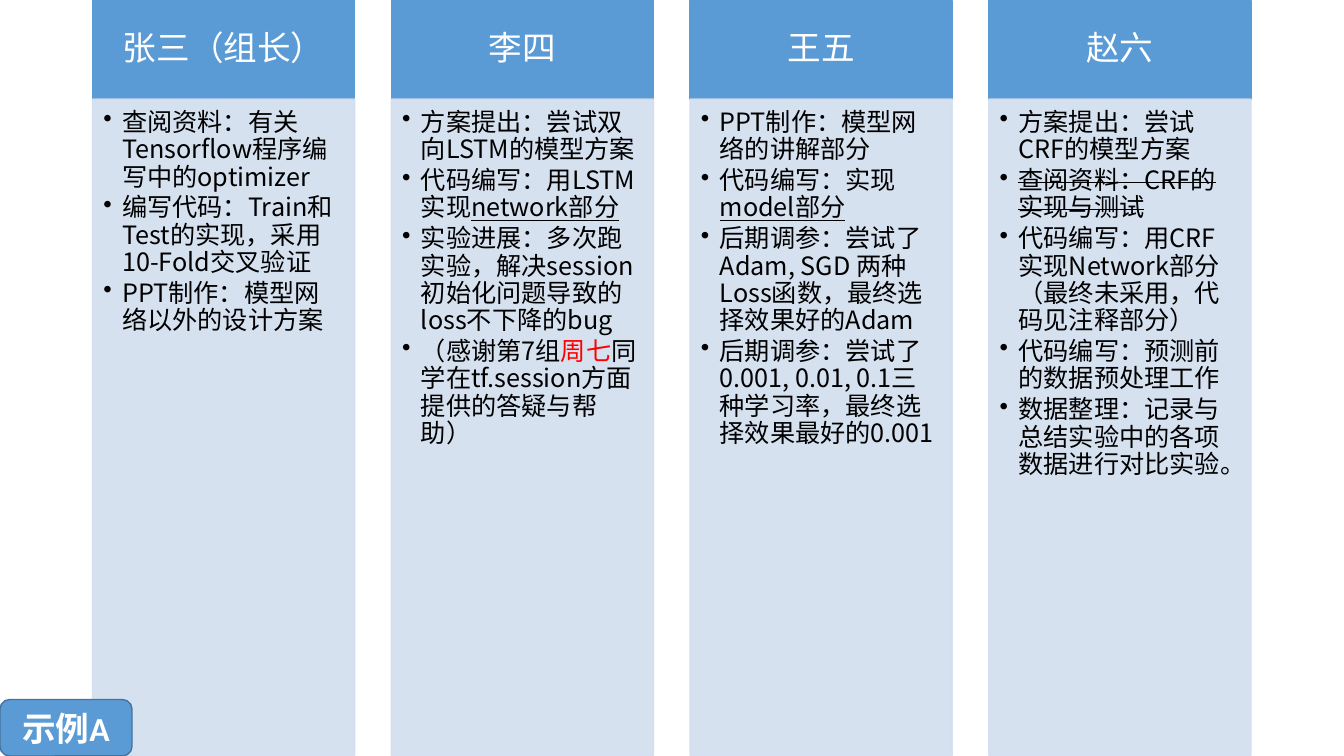
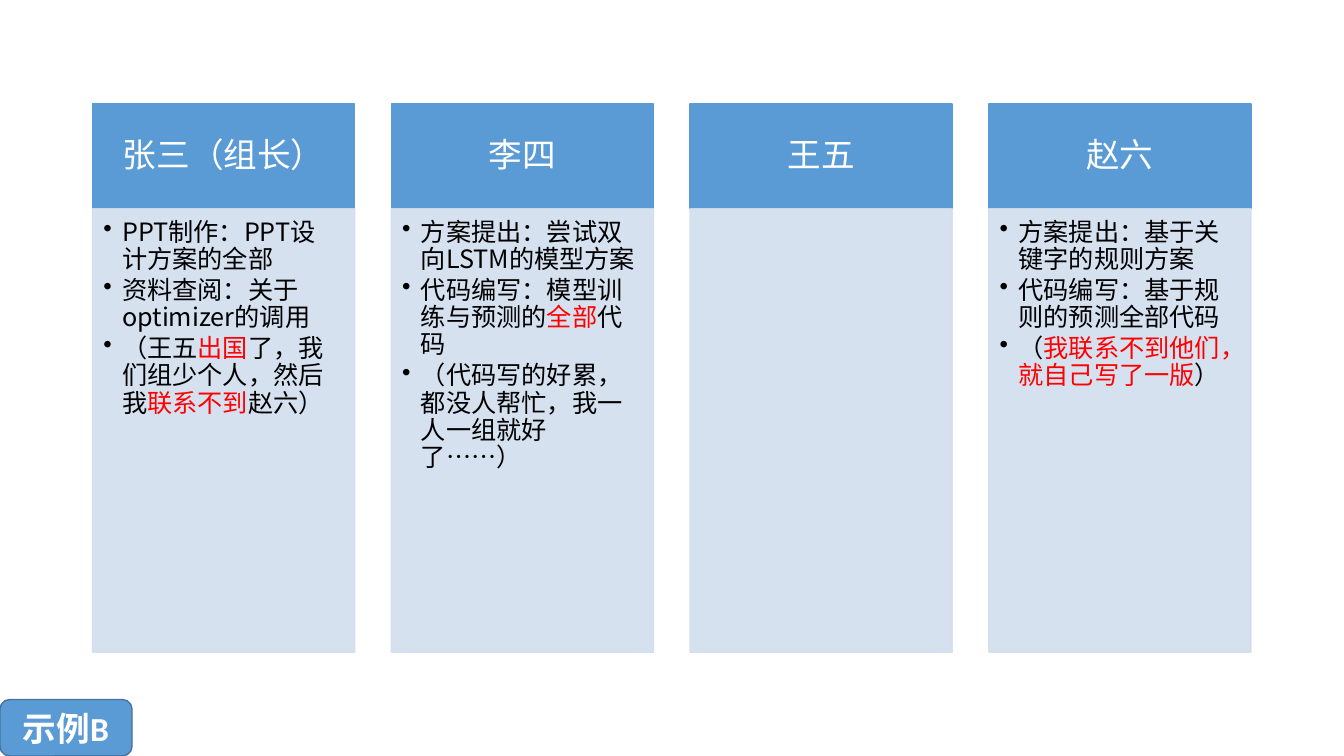
"""Build two slides that list each group member's share of the work."""
import pptx
import pptx.dml.color
import pptx.enum.shapes
import pptx.enum.text
import pptx.oxml.ns
import pptx.util
import lxml.etree

Pt = pptx.util.Pt
qn = pptx.oxml.ns.qn
SHAPES = pptx.enum.shapes.MSO_SHAPE
ALIGN = pptx.enum.text.PP_ALIGN
ANCHOR = pptx.enum.text.MSO_ANCHOR

BLUE, PALE, EDGE = "5B9BD5", "D2DEEF", "43739E"
WHITE, BLACK, RED = "FFFFFF", "000000", "FF0000"
CJK_FONT, LATIN_FONT = "Noto Sans CJK SC", "Calibri"
COLUMN_LEFT, COLUMN_PITCH, COLUMN_WIDTH = 66.2, 213.4, 187.2
HEADER_MARGINS = (13.4, 7.7, 13.4, 7.7)
BODY_MARGINS = (7.6, 7.6, 10.1, 11.4)
BADGE_MARGINS = (7.2, 3.6, 7.2, 3.6)
BULLET_INDENT = 13.5

MEMBERS = ["张三（组长）", "李四", "王五", "赵六"]
SLIDES = [
    {
        "badge": "示例A", "top": 0.5, "header": 70.3, "body": 468.7,
        "tasks": [
            [
                [("查阅资料：有关Tensorflow程序编写中的optimizer", "")],
                [("编写代码：Train和Test的实现，采用10-Fold交叉验证", "")],
                [("PPT制作：模型网络以外的设计方案", "")],
            ],
            [
                [("方案提出：尝试双向LSTM的模型方案", "")],
                [("代码编写：用LSTM 实现", ""), ("network部分", "underline")],
                [("实验进展：多次跑实验，解决session初始化问题导致的loss不下降的bug", "")],
                [("（感谢第7组", ""), ("周七", "red"),
                 ("同学在tf.session方面提供的答疑与帮助）", "")],
            ],
            [
                [("PPT制作：模型网络的讲解部分", "")],
                [("代码编写：实现", ""), ("model部分", "underline")],
                [("后期调参：尝试了Adam, SGD 两种Loss函数，最终选择效果好的Adam", "")],
                [("后期调参：尝试了0.001, 0.01, 0.1三种学习率，最终选择效果最好的0.001", "")],
            ],
            [
                [("方案提出：尝试CRF的模型方案", "")],
                [("查阅资料：CRF的实现与测试", "strike")],
                [("代码编写：用CRF实现Network部分（最终未采用，代码见注释部分）", "")],
                [("代码编写：预测前的数据预处理工作", "")],
                [("数据整理：记录与总结实验中的各项数据进行对比实验。", "")],
            ],
        ],
    },
    {
        "badge": "示例B", "top": 74.2, "header": 74.9, "body": 316.8,
        "tasks": [
            [
                [("PPT制作：PPT设计方案的全部", "")],
                [("资料查阅：关于optimizer的调用", "")],
                [("（王五", ""), ("出国", "red"), ("了，我们组少个人，然后我", ""),
                 ("联系不到", "red"), ("赵六）", "")],
            ],
            [
                [("方案提出：尝试双向LSTM的模型方案", "")],
                [("代码编写：模型训练与预测的", ""), ("全部", "red"), ("代码", "")],
                [("（代码写的好累，都没人帮忙，我一人一组就好了……）", "")],
            ],
            [],
            [
                [("方案提出：基于关键字的规则方案", "")],
                [("代码编写：基于规则的预测全部代码", "")],
                [("（", ""), ("我联系不到他们，就自己写了一版", "red"), ("）", "")],
            ],
        ],
    },
]


def add_box(slide, kind, bounds, fill, line, margins, anchor):
    """Add a filled shape whose text frame is ready for use."""
    shape = slide.shapes.add_shape(kind, *[Pt(value) for value in bounds])
    shape.shadow.inherit = False
    shape.fill.solid()
    shape.fill.fore_color.rgb = pptx.dml.color.RGBColor.from_string(fill)
    shape.line.color.rgb = pptx.dml.color.RGBColor.from_string(line)
    shape.line.width = Pt(1)
    frame = shape.text_frame
    frame.word_wrap = True
    frame.vertical_anchor = anchor
    frame.margin_left, frame.margin_top, frame.margin_right, frame.margin_bottom = [
        Pt(value) for value in margins]
    return shape


def add_run(paragraph, text, size, color, latin=CJK_FONT):
    """Add a run of text and return it."""
    run = paragraph.add_run()
    run.text = text
    run.font.size = Pt(size)
    run.font.color.rgb = pptx.dml.color.RGBColor.from_string(color)
    run.font.name = latin
    properties = run._r.get_or_add_rPr()
    properties.set("lang", "zh-CN")
    lxml.etree.SubElement(properties, qn("a:ea")).set("typeface", CJK_FONT)
    return run


presentation = pptx.Presentation()
presentation.slide_width, presentation.slide_height = Pt(960), Pt(540)

for content in SLIDES:
    slide = presentation.slides.add_slide(presentation.slide_layouts[6])
    body_top = content["top"] + content["header"]

    for index, (member, tasks) in enumerate(zip(MEMBERS, content["tasks"])):
        left = COLUMN_LEFT + index * COLUMN_PITCH
        header = add_box(slide, SHAPES.RECTANGLE,
                         (left, content["top"], COLUMN_WIDTH, content["header"]),
                         BLUE, BLUE, HEADER_MARGINS, ANCHOR.MIDDLE)
        paragraph = header.text_frame.paragraphs[0]
        paragraph.alignment = ALIGN.CENTER
        paragraph.line_spacing = 0.9
        add_run(paragraph, member, 24, WHITE)

        body = add_box(slide, SHAPES.RECTANGLE,
                       (left, body_top, COLUMN_WIDTH, content["body"]),
                       PALE, PALE, BODY_MARGINS, ANCHOR.TOP)
        for color in body.element.spPr.iter(qn("a:srgbClr")):
            lxml.etree.SubElement(color, qn("a:alpha")).set("val", "90000")

        frame = body.text_frame
        for number, task in enumerate(tasks):
            paragraph = frame.add_paragraph() if number else frame.paragraphs[0]
            paragraph.alignment = ALIGN.LEFT
            paragraph.line_spacing = 0.9
            paragraph.space_after = Pt(2.7)
            properties = paragraph._p.get_or_add_pPr()
            properties.set("marL", str(Pt(BULLET_INDENT)))
            properties.set("indent", str(-Pt(BULLET_INDENT)))
            lxml.etree.SubElement(properties, qn("a:buChar")).set("char", "•")
            for text, mark in task:
                run = add_run(paragraph, text, 18, RED if mark == "red" else BLACK)
                if mark == "underline":
                    run.font.underline = True
                if mark == "strike":
                    run._r.get_or_add_rPr().set("strike", "sngStrike")

    badge = add_box(slide, SHAPES.ROUNDED_RECTANGLE, (0, 499.7, 94.3, 40.3),
                    BLUE, EDGE, BADGE_MARGINS, ANCHOR.MIDDLE)
    paragraph = badge.text_frame.paragraphs[0]
    paragraph.alignment = ALIGN.CENTER
    add_run(paragraph, content["badge"], 24, WHITE, LATIN_FONT).font.bold = True

presentation.save("out.pptx")
